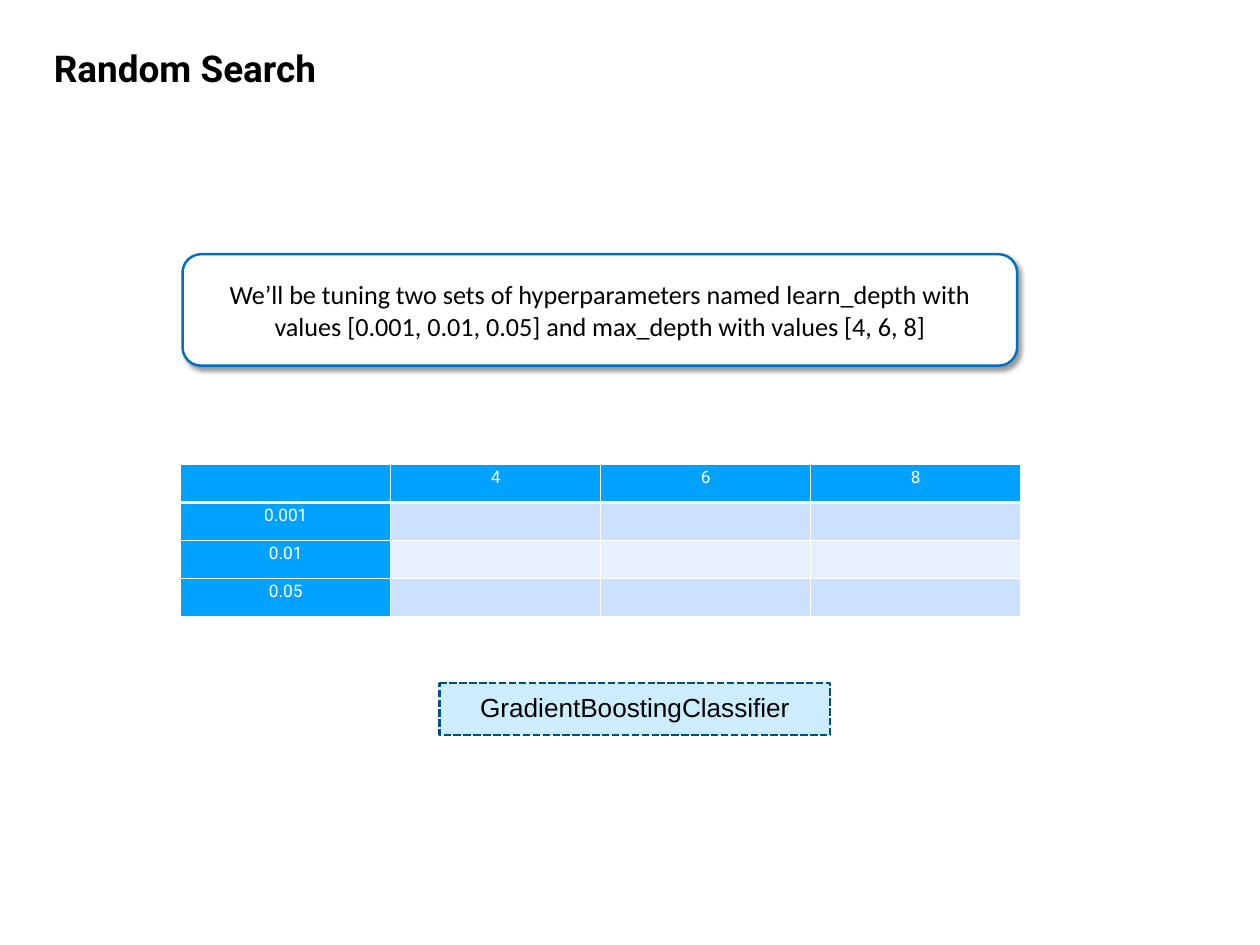
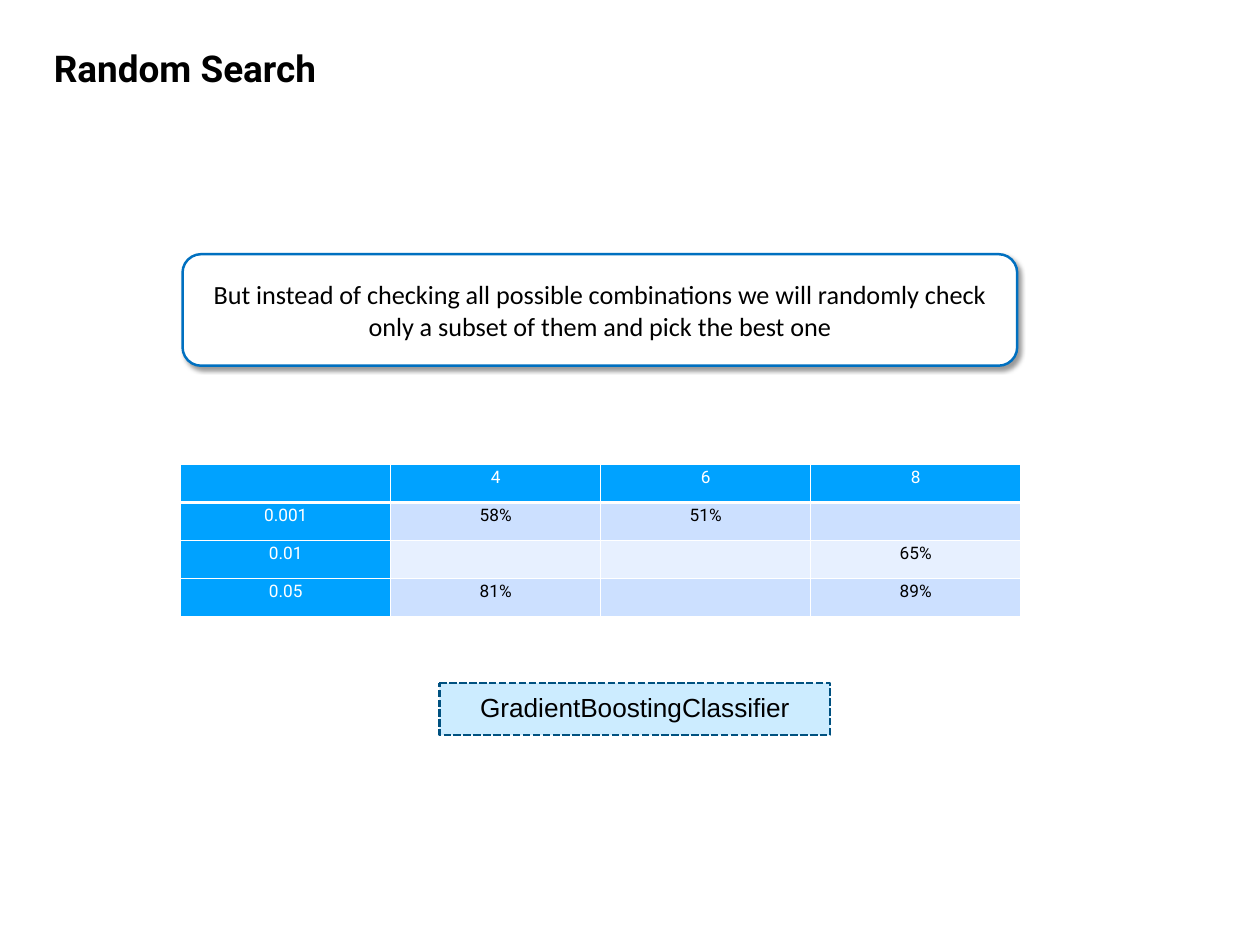
from lxml import etree
from pptx import Presentation
from pptx import util as u
from pptx.dml.color import RGBColor
from pptx.enum import dml, shapes, text
from pptx.oxml.ns import qn

PX = 9144  # EMU per px, 100 px to the inch
COLORS = {
    "black": "000000",
    "white": "FFFFFF",
    "outline": "0070C0",
    "header": "00A2FF",
    "band_dark": "CCE0FF",
    "band_light": "E7F0FF",
    "model_fill": "CCECFF",
    "model_line": "005180",
}
TITLE = "Random Search"
MODEL = "GradientBoostingClassifier"
DEPTHS = ["4", "6", "8"]
RATES = ["0.001", "0.01", "0.05"]
COLUMN_WIDTH, ROW_HEIGHT = 237, 43

# Each slide: message and the scores by (learning rate, depth)
SLIDES = [
    ("We’ll be tuning two sets of hyperparameters named learn_depth with "
     "values [0.001, 0.01, 0.05] and max_depth with values [4, 6, 8]", {}),
    ("But instead of checking all possible combinations we will randomly check "
     "only a subset of them and pick the best one",
     {("0.001", "4"): "58%", ("0.001", "6"): "51%", ("0.01", "8"): "65%",
      ("0.05", "4"): "81%", ("0.05", "8"): "89%"}),
]


def color(name):
    return RGBColor.from_string(COLORS[name])


def px(*lengths):
    return [u.Emu(length * PX) for length in lengths]


def write(frame, words, font="Roboto", size=14, ink="black", bold=False,
          align=text.PP_ALIGN.CENTER, spacing=0.9):
    para = frame.paragraphs[0]
    para.alignment = align
    para.line_spacing = spacing
    span = para.add_run()
    span.text = words
    span.font.name = font
    span.font.size = u.Pt(size)
    span.font.bold = bold
    span.font.color.rgb = color(ink)


def add_title(page):
    box = page.shapes.add_textbox(*px(51, 52, 734, 56))
    box.text_frame.word_wrap = True
    write(box.text_frame, TITLE, size=30, bold=True, align=text.PP_ALIGN.LEFT)


def add_box(page, place, fill, line):
    box = page.shapes.add_shape(shapes.MSO_SHAPE.ROUNDED_RECTANGLE, *px(*place))
    box.shadow.inherit = False
    box.fill.solid()
    box.fill.fore_color.rgb = color(fill)
    box.line.color.rgb = color(line)
    box.line.width = u.Pt(2)
    box.text_frame.word_wrap = True
    box.text_frame.vertical_anchor = text.MSO_ANCHOR.MIDDLE
    return box


def add_shadow(box):
    effects = box._element.spPr.find(qn("a:effectLst"))
    shadow = etree.SubElement(
        effects, qn("a:outerShdw"), blurRad=str(u.Pt(4)), dist=str(u.Pt(3)),
        dir=str(45 * 60000), algn="tl", rotWithShape="0")
    ink = etree.SubElement(shadow, qn("a:srgbClr"), val=COLORS["black"])
    etree.SubElement(ink, qn("a:alpha"), val="40000")


def add_message(page, words):
    box = add_box(page, (206, 287, 942, 126), "white", "outline")
    add_shadow(box)
    write(box.text_frame, words, font="Calibri", size=21.3, spacing=1.0)


def add_model(page):
    box = add_box(page, (496, 771, 441, 59), "model_fill", "model_line")
    box.adjustments[0] = 0
    box.line.dash_style = dml.MSO_LINE.SQUARE_DOT
    write(box.text_frame, MODEL, font="Arial", size=21.3)


def set_borders(cell, bottom):
    properties = cell._tc.get_or_add_tcPr()
    for side, width in (("L", 1), ("R", 1), ("T", 1), ("B", bottom)):
        line = etree.SubElement(properties, qn(f"a:ln{side}"), w=str(u.Pt(width)))
        fill = etree.SubElement(line, qn("a:solidFill"))
        etree.SubElement(fill, qn("a:srgbClr"), val=COLORS["white"])


def fill_cell(cell, words, fill, ink, bottom):
    set_borders(cell, bottom)
    cell.fill.solid()
    cell.fill.fore_color.rgb = color(fill)
    cell.margin_left, cell.margin_right = px(11, 11)
    cell.margin_top, cell.margin_bottom = px(5, 5)
    if words:
        write(cell.text_frame, words, ink=ink)


def add_score_table(page, scores):
    rows = [["", *DEPTHS]]
    rows += [[rate, *(scores.get((rate, depth), "") for depth in DEPTHS)]
             for rate in RATES]
    row_count, column_count = len(rows), len(rows[0])
    place = px(204, 524, column_count * COLUMN_WIDTH, row_count * ROW_HEIGHT)
    table = page.shapes.add_table(row_count, column_count, *place).table
    table.first_col = True
    for column in table.columns:
        column.width = u.Emu(COLUMN_WIDTH * PX)
    for r, row in enumerate(rows):
        table.rows[r].height = u.Emu(ROW_HEIGHT * PX)
        band = "band_dark" if r % 2 else "band_light"
        for c, words in enumerate(row):
            heading = r == 0 or c == 0
            fill_cell(table.cell(r, c), words,
                      fill="header" if heading else band,
                      ink="white" if heading else "black",
                      bottom=3 if r == 0 else 1)


def main():
    deck = Presentation()
    deck.slide_width, deck.slide_height = px(1422, 1067)
    for message, scores in SLIDES:
        page = deck.slides.add_slide(deck.slide_layouts[6])
        add_message(page, message)
        add_score_table(page, scores)
        add_title(page)
        add_model(page)
    deck.save("out.pptx")


if __name__ == "__main__":
    main()
